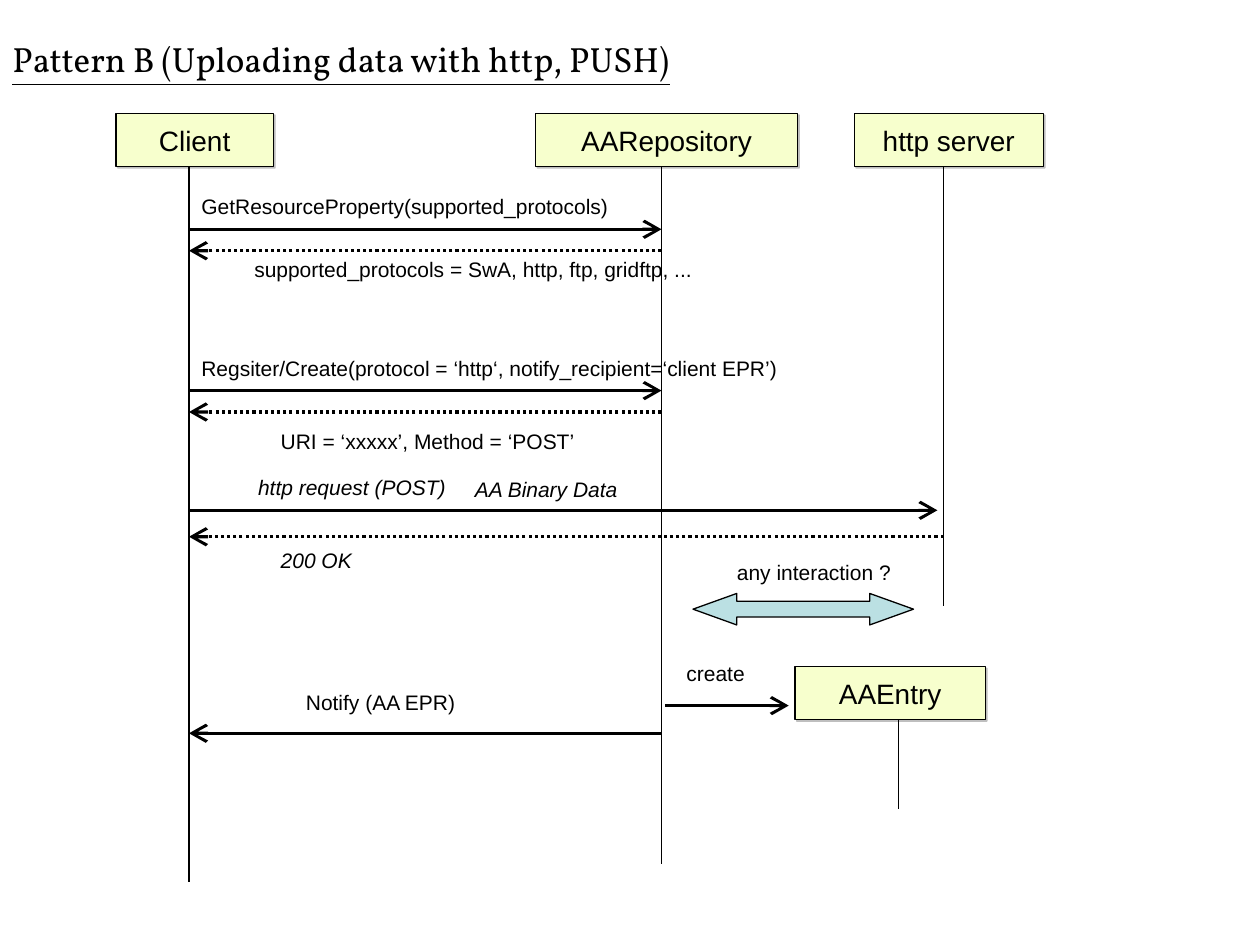
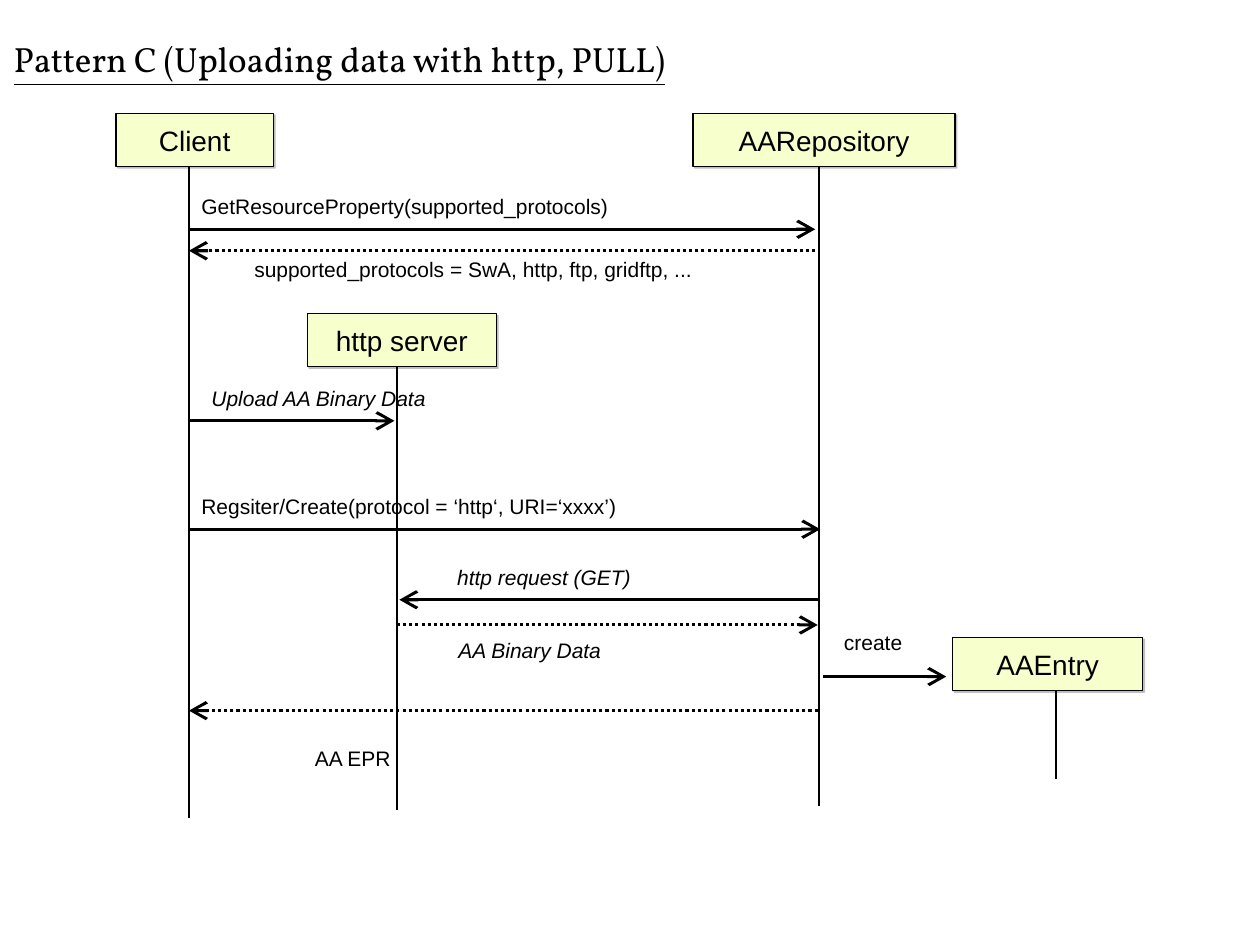
from dataclasses import dataclass

from lxml.etree import SubElement
from pptx import Presentation
from pptx.dml.color import RGBColor
from pptx.enum.dml import MSO_LINE_DASH_STYLE as Dash
from pptx.enum.shapes import MSO_CONNECTOR as Connector, MSO_SHAPE as Shape
from pptx.enum.text import MSO_ANCHOR as Anchor, MSO_AUTO_SIZE as AutoSize, PP_ALIGN as Align
from pptx.oxml.ns import qn
from pptx.util import Inches, Pt

BLACK = RGBColor(0x00, 0x00, 0x00)
CREAM = RGBColor(0xF7, 0xFF, 0xCD)
PALE_BLUE = RGBColor(0xBB, 0xE0, 0xE3)
SHADOW_GREY = RGBColor(0x80, 0x80, 0x80)

TITLE_FONT = {"name": "Vollkorn", "size": Pt(20), "underline": True}
ROLE_FONT = {"name": "Arial", "size": Pt(16)}
LABEL_FONT = {"name": "Arial", "size": Pt(12)}
LABEL_FRAME = {"word_wrap": True, "auto_size": AutoSize.SHAPE_TO_FIT_TEXT}
ROLE_FRAME = {"word_wrap": False, "vertical_anchor": Anchor.MIDDLE}

TITLE_TOP, TITLE_HEIGHT = 0.25, 0.44
HEADER_TOP = 0.9
ROLE_HEIGHT = 0.42
LABEL_HEIGHT = 0.3
TEXT_SLACK = 0.1
THIN, THICK = 0.75, 1.75
CLIENT_X = 1.5


@dataclass(frozen=True)
class Role:
    name: str
    width: float
    lifeline_offset: float


@dataclass(frozen=True)
class Participant:
    role: Role
    left: float
    top: float
    lifeline_end: float


@dataclass(frozen=True)
class Message:
    start: float
    end: float
    y: float
    reply: bool = False


@dataclass(frozen=True)
class Label:
    text: str
    left: float
    top: float
    width: float
    italic: bool = False


@dataclass(frozen=True)
class Interaction:
    left: float
    top: float
    width: float
    height: float


@dataclass(frozen=True)
class Diagram:
    title: str
    title_left: float
    title_width: float
    participants: tuple[Participant, ...]
    messages: tuple[Message, ...]
    labels: tuple[Label, ...]
    interactions: tuple[Interaction, ...] = ()


CLIENT = Role("Client", 1.25, 0.58)
REPOSITORY = Role("AARepository", 2.08, 1)
HTTP_SERVER = Role("http server", 1.5, 0.71)
ENTRY = Role("AAEntry", 1.51, 0.82)

PROTOCOL_LABELS = (
    Label("GetResourceProperty(supported_protocols)", 1.5, 1.49, 3.43),
    Label("supported_protocols = SwA, http, ftp, gridftp, ...", 1.92, 1.99, 3.68),
)

PUSH = Diagram(
    "Pattern B (Uploading data with http, PUSH)", 0, 5.89,
    participants=(
        Participant(CLIENT, 0.92, HEADER_TOP, 7),
        Participant(REPOSITORY, 4.25, HEADER_TOP, 6.86),
        Participant(HTTP_SERVER, 6.78, HEADER_TOP, 4.81),
        Participant(ENTRY, 6.31, 5.29, 6.42),
    ),
    messages=(
        Message(CLIENT_X, 5.25, 1.82),
        Message(5.25, CLIENT_X, 1.99, reply=True),
        Message(CLIENT_X, 5.25, 3.1),
        Message(5.25, CLIENT_X, 3.27, reply=True),
        Message(CLIENT_X, 7.44, 4.05),
        Message(7.49, CLIENT_X, 4.26, reply=True),
        Message(5.28, 6.26, 5.6),
        Message(5.25, CLIENT_X, 5.82),
    ),
    labels=PROTOCOL_LABELS + (
        Label("Regsiter/Create(protocol = ‘http‘, notify_recipient=‘client EPR’)", 1.5, 2.77, 4.77),
        Label("URI = ‘xxxxx’, Method = ‘POST’", 2.13, 3.35, 2.53),
        Label("http request (POST)", 1.95, 3.72, 1.69, italic=True),
        Label("AA Binary Data", 3.67, 3.73, 1.34, italic=True),
        Label("200 OK", 2.13, 4.3, 0.76, italic=True),
        Label("any interaction ?", 5.75, 4.39, 1.42),
        Label("create", 5.35, 5.19, 0.66),
        Label("Notify (AA EPR)", 2.33, 5.42, 1.6),
    ),
    interactions=(Interaction(5.5, 4.71, 1.75, 0.25),),
)

PULL = Diagram(
    "Pattern C (Uploading data with http, PULL)", 0.01, 5.85,
    participants=(
        Participant(CLIENT, 0.92, HEADER_TOP, 6.49),
        Participant(REPOSITORY, 5.5, HEADER_TOP, 6.4),
        Participant(HTTP_SERVER, 2.44, 2.49, 6.43),
        Participant(ENTRY, 7.56, 5.06, 6.18),
    ),
    messages=(
        Message(CLIENT_X, 6.47, 1.82),
        Message(6.47, CLIENT_X, 1.99, reply=True),
        Message(CLIENT_X, 3.13, 3.34),
        Message(CLIENT_X, 6.51, 4.2),
        Message(6.5, 3.17, 4.76),
        Message(3.15, 6.49, 4.96, reply=True),
        Message(6.53, 7.51, 5.37),
        Message(6.49, CLIENT_X, 5.64, reply=True),
    ),
    labels=PROTOCOL_LABELS + (
        Label("Upload AA Binary Data", 1.58, 3.01, 1.91, italic=True),
        Label("Regsiter/Create(protocol = ‘http‘, URI=‘xxxx’)", 1.5, 3.87, 3.5),
        Label("http request (GET)", 3.53, 4.43, 1.58, italic=True),
        Label("AA Binary Data", 3.54, 5.01, 1.34, italic=True),
        Label("create", 6.6, 4.95, 0.66),
        Label("AA EPR", 2.4, 5.87, 0.81),
    ),
)


def set_attributes(target, values: dict) -> None:
    for name, value in values.items():
        setattr(target, name, value)


def write_text(shape, text: str, font: dict, frame: dict, alignment=Align.LEFT) -> None:
    set_attributes(shape.text_frame, frame)
    paragraph = shape.text_frame.paragraphs[0]
    paragraph.alignment = alignment
    run = paragraph.add_run()
    run.text = text
    set_attributes(run.font, font)
    run.font.color.rgb = BLACK


def add_outlined_shape(slide, kind, left: float, top: float, width: float, height: float, fill: RGBColor):
    shape = slide.shapes.add_shape(kind, Inches(left), Inches(top), Inches(width), Inches(height))
    shape.shadow.inherit = False
    shape.fill.solid()
    shape.fill.fore_color.rgb = fill
    shape.line.color.rgb = BLACK
    shape.line.width = Pt(THIN)
    return shape


def add_drop_shadow(shape) -> None:
    effects = shape._element.spPr.find(qn("a:effectLst"))
    shadow = SubElement(effects, qn("a:outerShdw"), dist=str(Pt(1.4)), dir=str(45 * 60000), rotWithShape="0")
    colour = SubElement(shadow, qn("a:srgbClr"), val=str(SHADOW_GREY))
    SubElement(colour, qn("a:alpha"), val="50000")


def add_line(slide, start: tuple[float, float], end: tuple[float, float], weight: float):
    connector = slide.shapes.add_connector(
        Connector.STRAIGHT, *(Inches(value) for value in (*start, *end)))
    connector.line.color.rgb = BLACK
    connector.line.width = Pt(weight)
    SubElement(connector._element.spPr, qn("a:effectLst"))
    return connector


def add_text(slide, text: str, left: float, top: float, width: float, height: float, font: dict) -> None:
    box = slide.shapes.add_textbox(Inches(left), Inches(top), Inches(width + TEXT_SLACK), Inches(height))
    write_text(box, text, font, LABEL_FRAME)


def draw_participant(slide, participant: Participant) -> None:
    role = participant.role
    box = add_outlined_shape(
        slide, Shape.RECTANGLE, participant.left, participant.top, role.width, ROLE_HEIGHT, CREAM)
    add_drop_shadow(box)
    write_text(box, role.name, ROLE_FONT, ROLE_FRAME, Align.CENTER)
    x = participant.left + role.lifeline_offset
    add_line(slide, (x, participant.top + ROLE_HEIGHT), (x, participant.lifeline_end), THIN)


def draw_message(slide, message: Message) -> None:
    arrow = add_line(slide, (message.start, message.y), (message.end, message.y), THICK)
    if message.reply:
        arrow.line.dash_style = Dash.ROUND_DOT
    SubElement(arrow.line._get_or_add_ln(), qn("a:tailEnd"), type="arrow", w="lg", len="lg")


def draw_label(slide, label: Label) -> None:
    font = {**LABEL_FONT, "italic": label.italic}
    add_text(slide, label.text, label.left, label.top, label.width, LABEL_HEIGHT, font)


def draw_interaction(slide, interaction: Interaction) -> None:
    arrow = add_outlined_shape(
        slide, Shape.LEFT_RIGHT_ARROW, interaction.left, interaction.top,
        interaction.width, interaction.height, PALE_BLUE)
    arrow.adjustments[0] = 0.5
    arrow.adjustments[1] = 1.39


def draw_diagram(slide, diagram: Diagram) -> None:
    add_text(slide, diagram.title, diagram.title_left, TITLE_TOP,
             diagram.title_width, TITLE_HEIGHT, TITLE_FONT)
    for items, draw in (
        (diagram.participants, draw_participant),
        (diagram.messages, draw_message),
        (diagram.interactions, draw_interaction),
        (diagram.labels, draw_label),
    ):
        for item in items:
            draw(slide, item)


def main() -> None:
    presentation = Presentation()
    presentation.slide_width = Inches(10)
    presentation.slide_height = Inches(7.5)
    blank = presentation.slide_layouts[6]
    for diagram in (PUSH, PULL):
        draw_diagram(presentation.slides.add_slide(blank), diagram)
    presentation.save("out.pptx")


if __name__ == "__main__":
    main()
